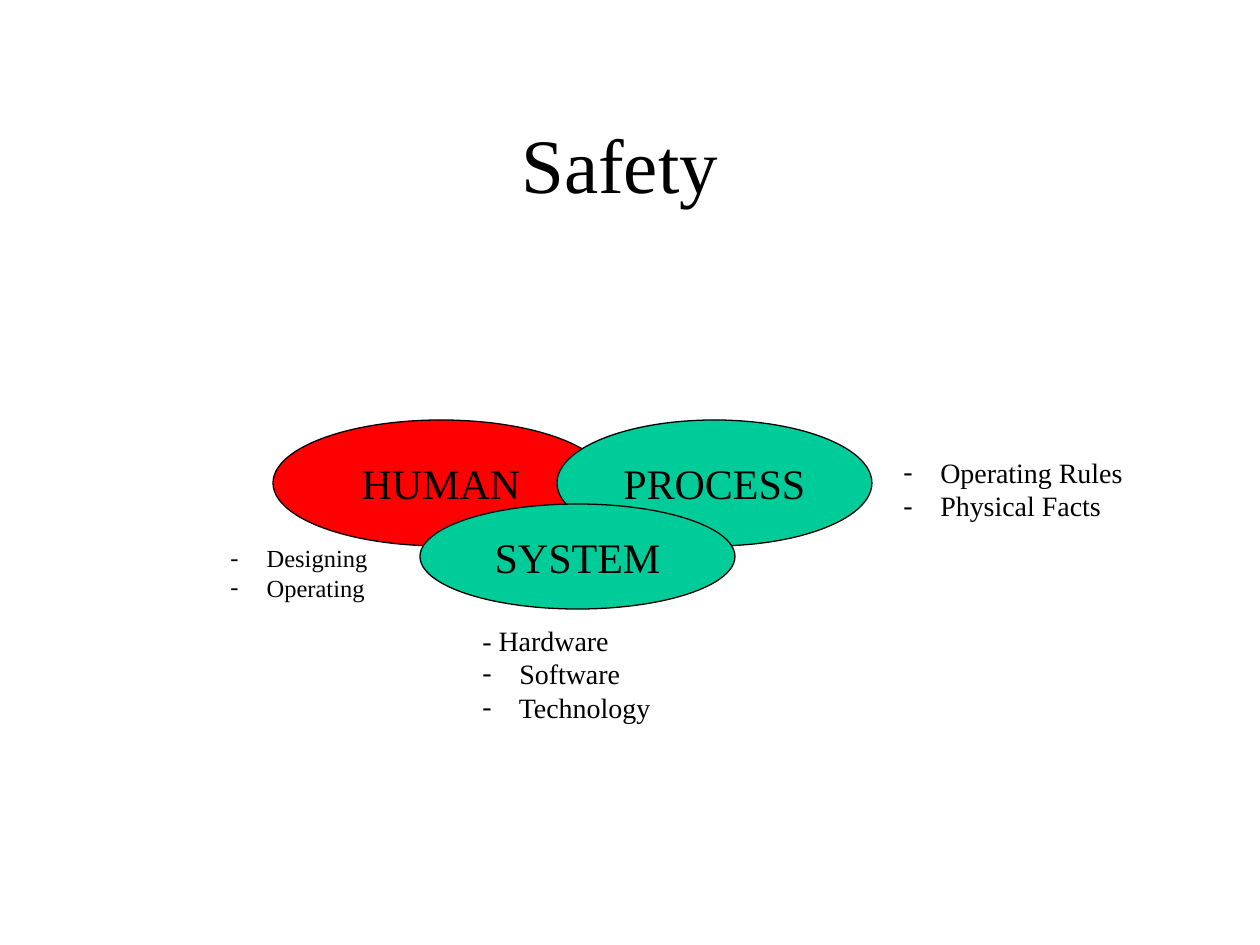
from pptx import Presentation
from pptx.dml.color import RGBColor
from pptx.enum.shapes import MSO_SHAPE
from pptx.enum.text import MSO_ANCHOR, PP_ALIGN
from pptx.oxml.ns import qn
from pptx.util import Pt
from lxml.etree import SubElement

SCALE = 914400 / 126
FONT = "Times New Roman"
COLORS = {"text": "000000", "line": "000000", "human": "FF0000", "other": "00CC99"}
BULLET_INDENT = 30


def px(n):
    return round(n * SCALE)


def rgb(name):
    return RGBColor.from_string(COLORS[name])


def add_bullet(p):
    pPr = p._p.get_or_add_pPr()
    pPr.set("marL", str(px(BULLET_INDENT)))
    pPr.set("indent", str(-px(BULLET_INDENT)))
    SubElement(pPr, qn("a:buFont")).set("typeface", FONT)
    SubElement(pPr, qn("a:buChar")).set("char", "-")


def add_text(p, text, size=24, align=PP_ALIGN.LEFT, bullet=False):
    p.alignment = align
    if bullet:
        add_bullet(p)
    r = p.add_run()
    r.text = text
    r.font.name = FONT
    r.font.size = Pt(size)
    r.font.color.rgb = rgb("text")


def add_title(s, box, text):
    tf = s.shapes.add_textbox(*map(px, box)).text_frame
    tf.word_wrap = True
    tf.vertical_anchor = MSO_ANCHOR.MIDDLE
    add_text(tf.paragraphs[0], text, size=44, align=PP_ALIGN.CENTER)


def add_ellipses(s, box, parts):
    left, top = box
    for text, color, x, y, w, h in parts:
        sp = s.shapes.add_shape(MSO_SHAPE.OVAL, px(left + x), px(top + y), px(w), px(h))
        sp.shadow.inherit = False
        sp.fill.solid()
        sp.fill.fore_color.rgb = rgb(color)
        sp.line.color.rgb = rgb("line")
        sp.line.width = Pt(0.75)
        tf = sp.text_frame
        tf.word_wrap = False
        tf.vertical_anchor = MSO_ANCHOR.MIDDLE
        add_text(tf.paragraphs[0], text, align=PP_ALIGN.CENTER)


def add_list(s, box, items, size=16):
    tf = s.shapes.add_textbox(*map(px, box)).text_frame
    tf.word_wrap = True
    tf.margin_right = 0
    for i, text in enumerate(items):
        p = tf.add_paragraph() if i else tf.paragraphs[0]
        add_text(p, text, size=size, bullet=not text.startswith("-"))


def main():
    prs = Presentation()
    prs.slide_width, prs.slide_height = px(1260), px(945)
    s = prs.slides.add_slide(prs.slide_layouts[6])
    add_title(s, (94, 84, 1071, 158), "Safety ")
    add_ellipses(s, (273, 420), [
        ("HUMAN", "human", 0, 0, 336, 126),
        ("PROCESS", "other", 284, 0, 315, 126),
        ("SYSTEM", "other", 147, 84, 315, 105),
    ])
    add_list(s, (470, 617, 190, 113), ["- Hardware", " Software", " Technology"])
    add_list(s, (891, 449, 240, 79), [" Operating Rules", " Physical Facts"])
    add_list(s, (218, 537, 160, 72), [" Designing", " Operating"], size=14)
    prs.save("out.pptx")


if __name__ == "__main__":
    main()
